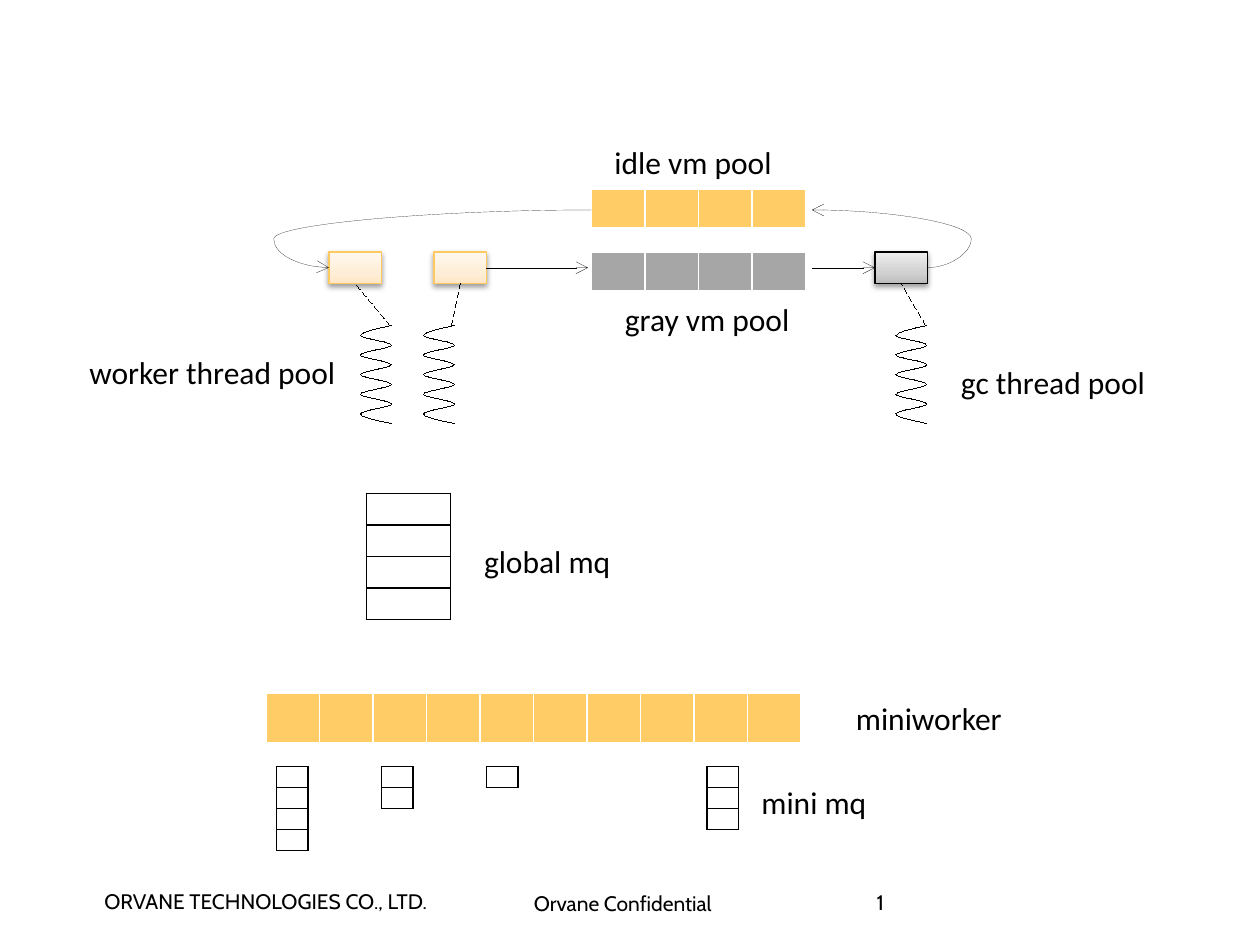
from lxml import etree
from pptx import Presentation, util as u
from pptx.dml.color import RGBColor
from pptx.enum import dml, shapes, text
from pptx.oxml import parse_xml
from pptx.oxml.ns import nsdecls, qn

COLORS = {
    "black": "000000",
    "white": "FFFFFF",
    "idle": "FFCC66",
    "gray": "A6A6A6",
    "worker_line": "FDC960",
}
GRADIENTS = {
    "worker": ("FFE7C6", "FFEED7", "FFF8F0"),
    "gc": ("BDBDBD", "D1D1D1", "EEEEEE"),
}
COLUMNS, ROWS = 360, 270
UNIT = u.Inches(10) // COLUMNS
HAIRLINE, THIN = 0, 0.75
LABEL = {"size": u.Pt(18), "name": "Calibri"}
FOOTER = {"size": u.Pt(12), "name": "Cabin"}
WHITE_BORDERS = {"lnL": 1, "lnR": 1, "lnT": 1, "lnB": 3}
BLACK_BORDERS = dict.fromkeys(WHITE_BORDERS, 1)


def grid(*values):
    return [round(value * UNIT) for value in values]


def color(name):
    return RGBColor.from_string(COLORS[name])


def assign(target, values):
    for name, value in values.items():
        setattr(target, name, value)


class Diagram:
    def __init__(self, slide):
        self.slide = slide

    def label(self, content, left, top, width, height=14.4, font=LABEL, frame=None, spacing=None):
        shape = self.slide.shapes.add_textbox(*grid(left, top, width, height))
        values = {"word_wrap": False, "auto_size": text.MSO_AUTO_SIZE.SHAPE_TO_FIT_TEXT}
        assign(shape.text_frame, values | (frame or {}))
        paragraph = shape.text_frame.paragraphs[0]
        paragraph.line_spacing = spacing
        run = paragraph.add_run()
        run.text = content
        assign(run.font, font)
        run.font.color.rgb = color("black")

    def cells(self, left, top, width, height, columns=1, rows=1, fill=None):
        frame = self.slide.shapes.add_table(rows, columns, *grid(left, top, width, height))
        table = frame.table
        assign(table, {"first_row": False, "horz_banding": False})
        borders = WHITE_BORDERS if fill else BLACK_BORDERS
        border_color = COLORS["white" if fill else "black"]
        margins = ("margin_left", "margin_right", "margin_top", "margin_bottom")
        for cell in table.iter_cells():
            assign(cell, dict.fromkeys(margins, 0))
            paragraph = cell.text_frame.paragraphs[0]
            etree.SubElement(paragraph._p, qn("a:endParaRPr"), sz="600")
            properties = cell._tc.get_or_add_tcPr()
            for side, points in borders.items():
                properties.append(parse_xml(
                    f'<a:{side} {nsdecls("a")} w="{u.Pt(points)}"><a:solidFill>'
                    f'<a:srgbClr val="{border_color}"/></a:solidFill></a:{side}>'))
            if fill:
                cell.fill.solid()
                cell.fill.fore_color.rgb = color(fill)
            else:
                cell.fill.background()

    def vm(self, left, gradient, line):
        shape = self.slide.shapes.add_shape(
            shapes.MSO_SHAPE.RECTANGLE, *grid(left, 72, 15, 9))
        self.outline(shape, line, THIN)
        stops = "".join(
            f'<a:gs pos="{position}"><a:srgbClr val="{value}"/></a:gs>'
            for position, value in zip((0, 35000, 100000), GRADIENTS[gradient]))
        properties = shape._element.spPr
        properties.find(qn("a:prstGeom")).addnext(parse_xml(
            f'<a:gradFill {nsdecls("a")} rotWithShape="1"><a:gsLst>{stops}</a:gsLst>'
            '<a:lin ang="16200000" scaled="0"/></a:gradFill>'))
        properties.append(parse_xml(
            f'<a:effectLst {nsdecls("a")}><a:outerShdw blurRad="40000" dist="20000" '
            'dir="5400000" rotWithShape="0"><a:srgbClr val="000000">'
            '<a:alpha val="38000"/></a:srgbClr></a:outerShdw></a:effectLst>'))

    def outline(self, shape, name="black", points=HAIRLINE):
        shape.line.color.rgb = color(name)
        shape.line._get_or_add_ln().set("w", str(u.Pt(points)))

    def connect(self, start, end, bend=None, dashed=False):
        kind = shapes.MSO_CONNECTOR.STRAIGHT if bend is None else shapes.MSO_CONNECTOR.CURVE
        connector = self.slide.shapes.add_connector(kind, *grid(*start, *end))
        self.outline(connector)
        properties = connector._element.spPr
        if bend is not None:
            guides = properties.find(qn("a:prstGeom")).get_or_add_avLst()
            etree.SubElement(guides, qn("a:gd"), name="adj1", fmla=f"val {round(bend * 100000)}")
        if dashed:
            connector.line.dash_style = dml.MSO_LINE.DASH
        else:
            etree.SubElement(connector.line._get_or_add_ln(), qn("a:tailEnd"), type="arrow")
        etree.SubElement(properties, qn("a:effectLst"))

    def thread(self, center, middle=107, length=28, swing=8.8, count=10):
        left, top, step = center - length / 2, middle - swing / 2, length / count
        anchors = [(index * step, index % 2 * swing) for index in range(count + 1)]
        builder = self.slide.shapes.build_freeform(*grid(left, top))
        builder.add_line_segments(
            [grid(left + x, top + y) for x, y in anchors[1:]], close=False)
        shape = builder.convert_to_shape()
        shape.rotation = 90
        shape.shadow.inherit = False
        shape.fill.background()
        self.outline(shape)
        eases = [(0.5, 0.96)] + [(0, 1)] * (count - 2) + [(0, 0.5)]
        segments = list(shape._element.spPr.iter(qn("a:lnTo")))
        for segment, (x, y), (_, end), ease in zip(segments, anchors, anchors[1:], eases):
            controls = [(x + step * (number + 1) / 3, y + (end - y) * share)
                        for number, share in enumerate((*ease, 1))]
            curve = etree.Element(qn("a:cubicBezTo"))
            for control in controls:
                across, down = grid(*control)
                etree.SubElement(curve, qn("a:pt"), x=str(across), y=str(down))
            segment.getparent().replace(segment, curve)


def main():
    presentation = Presentation()
    assign(presentation, {"slide_width": COLUMNS * UNIT, "slide_height": ROWS * UNIT})
    slide = presentation.slides.add_slide(presentation.slide_layouts[6])
    diagram = Diagram(slide)

    flat = {"margin_top": 0, "margin_bottom": 0}
    diagram.label("ORVANE TECHNOLOGIES CO., LTD.", 29.8, 254, 100, 7.2, FOOTER,
                  flat | {"margin_left": 0})
    diagram.label("Orvane Confidential", 149, 254.4, 73.5, 7.2, FOOTER,
                  flat | {"word_wrap": True})
    diagram.label("1", 250.5, 255.2, 82.5, 14.8, FOOTER,
                  flat | {"margin_left": 0, "margin_right": 0, "word_wrap": True,
                          "auto_size": text.MSO_AUTO_SIZE.NONE}, 0.85)

    for center in (107.4, 125.4, 260.4):
        diagram.thread(center)

    diagram.cells(76, 198, 153, 14.75, columns=10, fill="idle")
    for top, fill in ((72, "gray"), (54, "idle")):
        diagram.cells(169, top, 61.25, 11.5, columns=4, fill=fill)

    for left, gradient, line in ((94, "worker", "worker_line"),
                                 (124, "worker", "worker_line"),
                                 (250, "gc", "black")):
        diagram.vm(left, gradient, line)

    diagram.connect((232, 76.5), (250, 76.5))
    diagram.connect((265, 76.5), (232, 60), bend=-0.38)
    diagram.connect((169, 60), (94, 76.5), bend=1.21)
    diagram.connect((139, 76.5), (168, 76.5))

    diagram.cells(104.75, 141, 24, 36, rows=4)
    for left, count in ((79, 4), (109, 2), (139, 1), (202, 3)):
        diagram.cells(left, 219, 9, 6 * count, rows=count)

    for content, left, top, width in (
        ("gray vm pool", 175, 84, 56),
        ("idle vm pool", 172, 39, 53),
        ("gc thread pool", 271, 102, 62),
        ("worker thread pool", 22, 99, 78.5),
        ("global mq", 134.75, 153, 45.25),
        ("miniworker", 241, 198, 49.25),
        ("mini mq", 214, 222, 37.75),
    ):
        diagram.label(content, left, top, width)

    for thread, vm in ((111.5, 101.5), (129, 131.5), (264.5, 257.5)):
        diagram.connect((thread, 93), (vm, 81), dashed=True)

    presentation.save("out.pptx")


if __name__ == "__main__":
    main()
